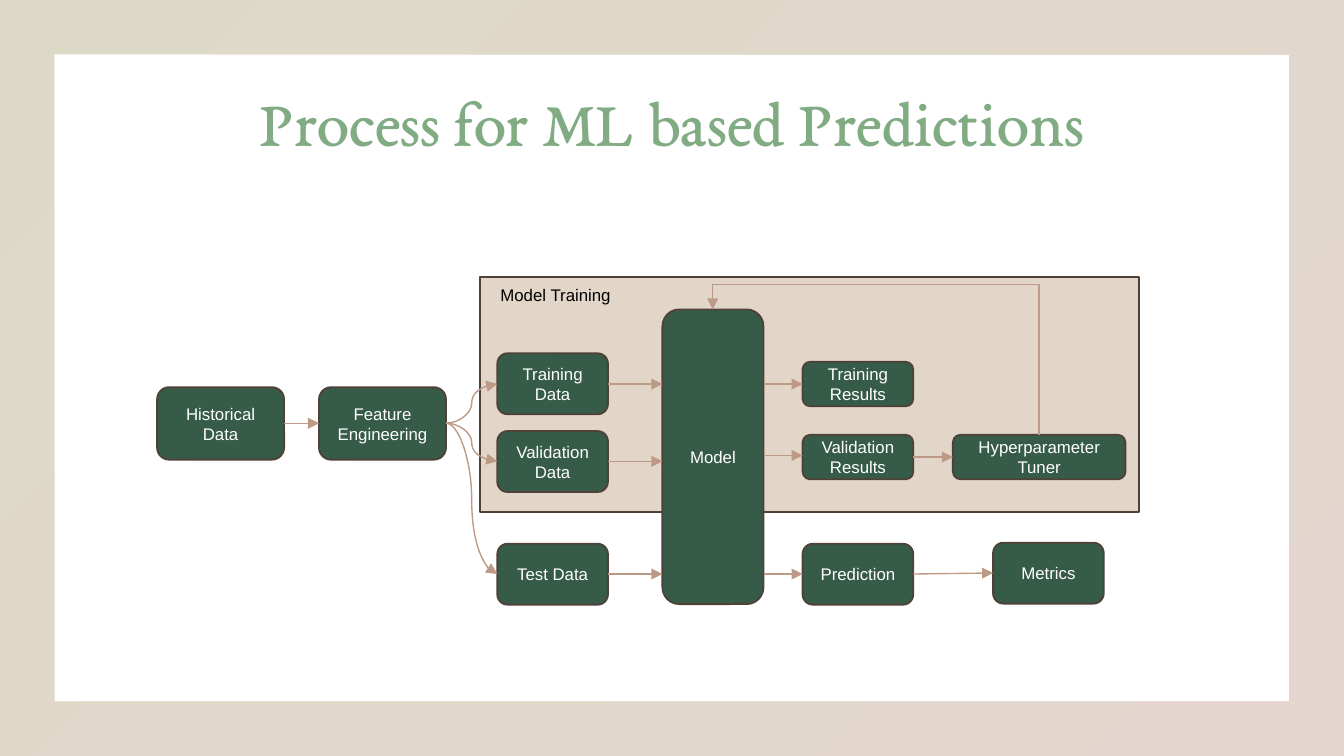
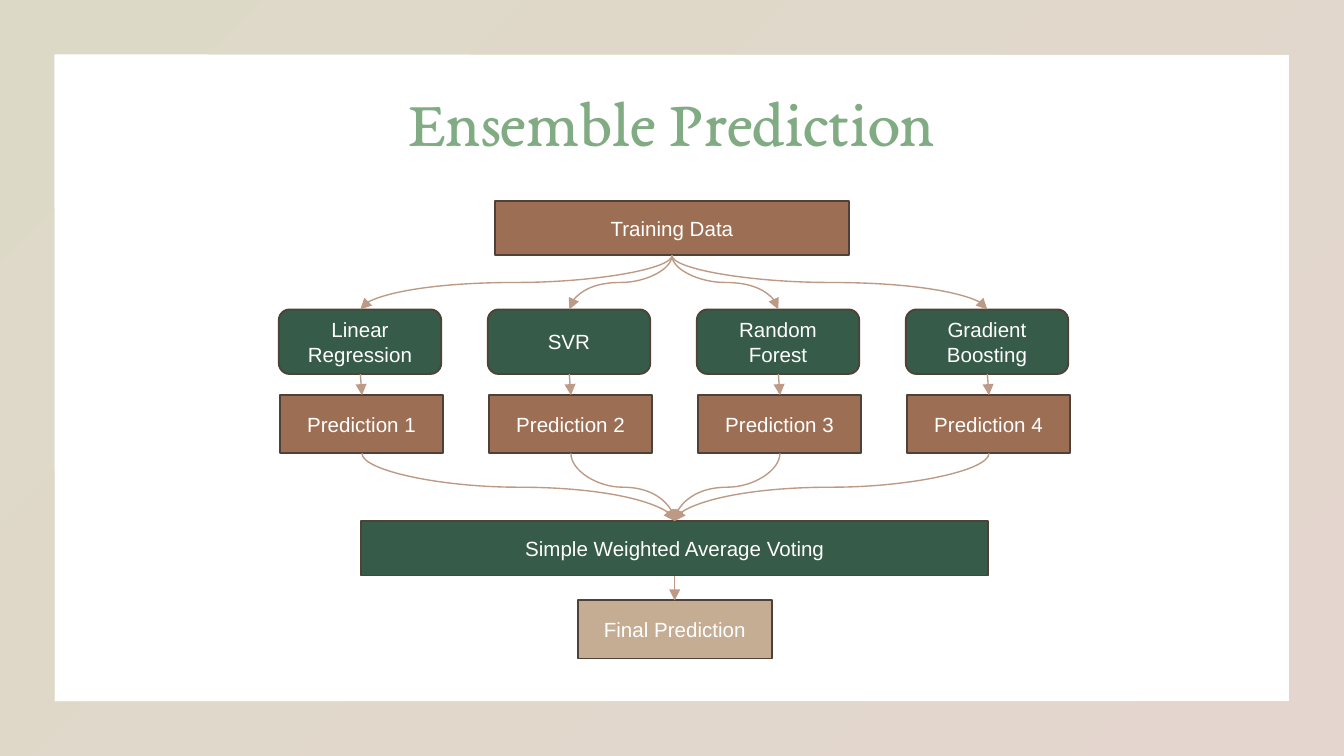
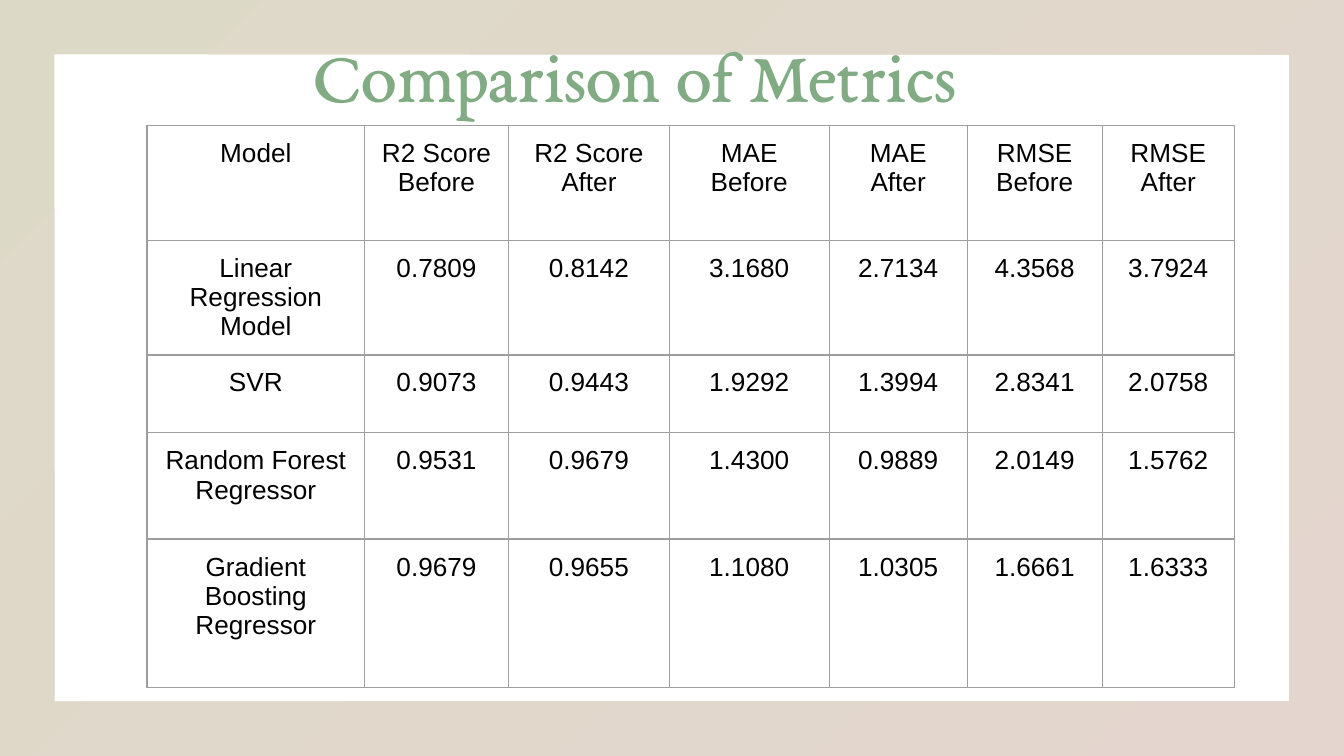
from lxml.etree import SubElement
from pptx import Presentation
from pptx.dml.color import RGBColor
from pptx.enum.shapes import MSO_CONNECTOR as CONN, MSO_SHAPE as SHAPE
from pptx.enum.text import MSO_ANCHOR as ANCHOR, MSO_AUTO_SIZE as AUTO, PP_ALIGN as ALIGN
from pptx.oxml.ns import qn
from pptx.util import Cm, Pt

rgb = RGBColor.from_string
GREEN, BROWN, TAN, SAND = "365B48", "9C6F54", "C5AD94", "E2D6C9"
EDGE, ARROW, TITLE, GRID = "4F4138", "BD9A85", "81AC83", "9E9E9E"
WHITE, BLACK = "FFFFFF", "000000"


def box(s, kind, x, y, w, h, fill=None, text="", size=9, color=WHITE):
    sp = s.shapes.add_shape(kind, Cm(x), Cm(y), Cm(w), Cm(h))
    sp.shadow.inherit = False
    if fill:
        sp.fill.solid()
        sp.fill.fore_color.rgb = rgb(fill)
        sp.line.color.rgb = rgb(EDGE)
        sp.line.width = Pt(1)
    else:
        sp.fill.background()
        sp.line.fill.background()
    tf = sp.text_frame
    tf.word_wrap = True
    tf.vertical_anchor = ANCHOR.MIDDLE
    tf.margin_left = tf.margin_right = Cm(0.18)
    tf.margin_top = tf.margin_bottom = Cm(0.1)
    for i, line in enumerate(text.split("\n") if text else []):
        p = tf.add_paragraph() if i else tf.paragraphs[0]
        p.alignment = ALIGN.CENTER
        r = p.add_run()
        r.text = line
        r.font.size = Pt(size)
        r.font.name = "Arial"
        r.font.color.rgb = rgb(color)
    return sp


def link(s, kind, x1, y1, x2, y2, upright=False, adj=None):
    if upright:
        w, h = abs(y2 - y1), abs(x2 - x1)
        x, y = (x1 + x2 - w) / 2, (y1 + y2 - h) / 2
        c = s.shapes.add_connector(kind, Cm(x), Cm(y), Cm(x + w), Cm(y + h))
        xfrm = c._element.spPr.find(qn("a:xfrm"))
        xfrm.set("rot", "16200000" if x2 > x1 else "5400000")
        if x2 > x1 or y2 < y1:
            xfrm.set("flipH", "1")
    else:
        c = s.shapes.add_connector(kind, Cm(x1), Cm(y1), Cm(x2), Cm(y2))
    if adj:
        av = c._element.spPr.find(qn("a:prstGeom")).find(qn("a:avLst"))
        SubElement(av, qn("a:gd"), name="adj1", fmla=f"val {adj}")
    c.line.color.rgb = rgb(ARROW)
    c.line.width = Pt(0.75)
    SubElement(c.line._get_or_add_ln(), qn("a:tailEnd"), type="triangle")
    SubElement(c._element.spPr, qn("a:effectLst"))


prs = Presentation()
prs.slide_width, prs.slide_height = Cm(25.4), Cm(14.29)
layout = prs.slide_layouts[5]

slides = []
for title, size, x, y, w, h in [
    ("Process for ML based Predictions", 35.1, 0, 1.63, 25.4, 1.47),
    ("Ensemble Prediction", 35.1, 0, 1.63, 25.4, 1.47),
    ("Comparison of Metrics ", 39, 1.19, 0.36, 21.89, 2.26),
]:
    s = prs.slides.add_slide(layout)
    t = s.shapes.title
    t.left, t.top, t.width, t.height = Cm(x), Cm(y), Cm(w), Cm(h)
    tf = t.text_frame
    tf.word_wrap = True
    tf.auto_size = AUTO.NONE
    tf.vertical_anchor = ANCHOR.MIDDLE
    tf.margin_left = tf.margin_right = Cm(0.18)
    tf.margin_top = tf.margin_bottom = Cm(0.1)
    p = tf.paragraphs[0]
    p.alignment = ALIGN.CENTER
    p.line_spacing = 0.9
    r = p.add_run()
    r.text = title
    r.font.size = Pt(size)
    r.font.name = "EB Garamond"
    r.font.color.rgb = rgb(TITLE)
    slides.append(s)
process, ensemble, metrics = slides

frame = box(process, SHAPE.FRAME, 0, 0, 25.4, 14.29)
frame.adjustments[0] = 0.072
frame.fill.gradient()
frame.fill.gradient_angle = 315
for stop, color, pos in zip(frame.fill.gradient_stops, ("ACA175", "BD9A85"), (0, 1)):
    stop.color.rgb = rgb(color)
    stop.position = pos
for clr in frame._element.spPr.iter(qn("a:srgbClr")):
    SubElement(clr, qn("a:alpha"), val="40000")
layout.shapes._spTree.insert(2, frame._element)

s = process
box(s, SHAPE.RECTANGLE, 9.07, 5.23, 12.45, 4.45, SAND)
for text, x, y, w, h in [
    ("Historical Data", 2.97, 7.32, 2.4, 1.37),
    ("Feature Engineering", 6.03, 7.32, 2.4, 1.37),
    ("Training Data", 9.4, 6.68, 2.09, 1.15),
    ("Validation Data", 9.4, 8.15, 2.09, 1.15),
    ("Test Data", 9.4, 10.28, 2.09, 1.15),
    ("Model", 12.52, 5.85, 1.91, 5.57),
    ("Validation\nResults", 15.17, 8.22, 2.09, 0.84),
    ("Hyperparameter Tuner", 18.01, 8.22, 3.26, 0.84),
    ("Training\nResults", 15.17, 6.84, 2.09, 0.84),
    ("Prediction", 15.17, 10.28, 2.09, 1.15),
    ("Metrics", 18.77, 10.26, 2.09, 1.15),
]:
    box(s, SHAPE.ROUNDED_RECTANGLE, x, y, w, h, GREEN, text)
link(s, CONN.STRAIGHT, 5.37, 8, 6.03, 8)
for y in (10.85, 8.72, 7.26):
    link(s, CONN.CURVE, 8.43, 8, 9.4, y)
    link(s, CONN.STRAIGHT, 11.49, y, 12.52, y)
for y in (7.26, 8.61, 10.85):
    link(s, CONN.STRAIGHT, 14.43, y, 15.17, y)
link(s, CONN.STRAIGHT, 17.26, 8.64, 18.01, 8.64)
link(s, CONN.STRAIGHT, 17.26, 10.85, 18.77, 10.83)
link(s, CONN.ELBOW, 19.64, 8.22, 13.47, 5.85, upright=True, adj=120100)
box(s, SHAPE.ROUNDED_RECTANGLE, 8.81, 5, 3.38, 1.15, None, "Model Training", color=BLACK)

s = ensemble
box(s, SHAPE.RECTANGLE, 9.35, 3.8, 6.7, 1.03, BROWN, "Training Data", 11)
box(s, SHAPE.RECTANGLE, 6.83, 9.85, 11.85, 1.03, GREEN, "Simple Weighted Average Voting", 11)
box(s, SHAPE.RECTANGLE, 10.92, 11.35, 3.67, 1.1, TAN, "Final Prediction", 11)
for i, model in enumerate(["Linear Regression", "SVR", "Random Forest", "Gradient Boosting"]):
    x = 5.27 + 3.95 * i
    mid = x + 1.54
    box(s, SHAPE.ROUNDED_RECTANGLE, x, 5.85, 3.07, 1.22, GREEN, model, 11)
    box(s, SHAPE.RECTANGLE, x + 0.03, 7.47, 3.07, 1.1, BROWN, f"Prediction {i + 1}", 11)
    link(s, CONN.CURVE, 12.7, 4.83, mid, 5.85, upright=True)
    link(s, CONN.STRAIGHT, mid, 7.07, mid + 0.03, 7.47)
    link(s, CONN.CURVE, mid + 0.03, 8.57, 12.75, 9.85, upright=True)
link(s, CONN.STRAIGHT, 12.75, 10.88, 12.75, 11.35)

rows = [
    ["Model", "R2 Score Before", "R2 Score After", "MAE Before", "MAE After", "RMSE Before", "RMSE After"],
    ["Linear Regression Model", "0.7809", "0.8142", "3.1680", "2.7134", "4.3568", "3.7924"],
    ["SVR", "0.9073", "0.9443", "1.9292", "1.3994", "2.8341", "2.0758"],
    ["Random Forest Regressor", "0.9531", "0.9679", "1.4300", "0.9889", "2.0149", "1.5762"],
    ["Gradient Boosting Regressor", "0.9679", "0.9655", "1.1080", "1.0305", "1.6661", "1.6333"],
]
widths = [4.11, 2.72, 3.04, 3.02, 2.61, 2.55, 2.5]
heights = [2.17, 2.17, 1.47, 2.01, 2.8]
tbl = metrics.shapes.add_table(
    len(rows), len(widths), Cm(2.78), Cm(2.37), Cm(sum(widths)), Cm(sum(heights))
).table
tbl.first_row = tbl.horz_banding = False
for col, w in zip(tbl.columns, widths):
    col.width = Cm(w)
for row, h, values in zip(tbl.rows, heights, rows):
    row.height = Cm(h)
    for cell, value in zip(row.cells, values):
        cell.margin_left = cell.margin_right = cell.margin_top = cell.margin_bottom = Cm(0.25)
        p = cell.text_frame.paragraphs[0]
        p.alignment = ALIGN.CENTER
        r = p.add_run()
        r.text = value
        r.font.size = Pt(14)
        r.font.name = "Arial"
        r.font.color.rgb = rgb(BLACK)
        tc_pr = cell._tc.get_or_add_tcPr()
        for side in ("lnL", "lnR", "lnT", "lnB"):
            ln = SubElement(tc_pr, qn(f"a:{side}"), w=str(Pt(0.75)))
            SubElement(SubElement(ln, qn("a:solidFill")), qn("a:srgbClr"), val=GRID)
        cell.fill.background()

prs.save("out.pptx")
